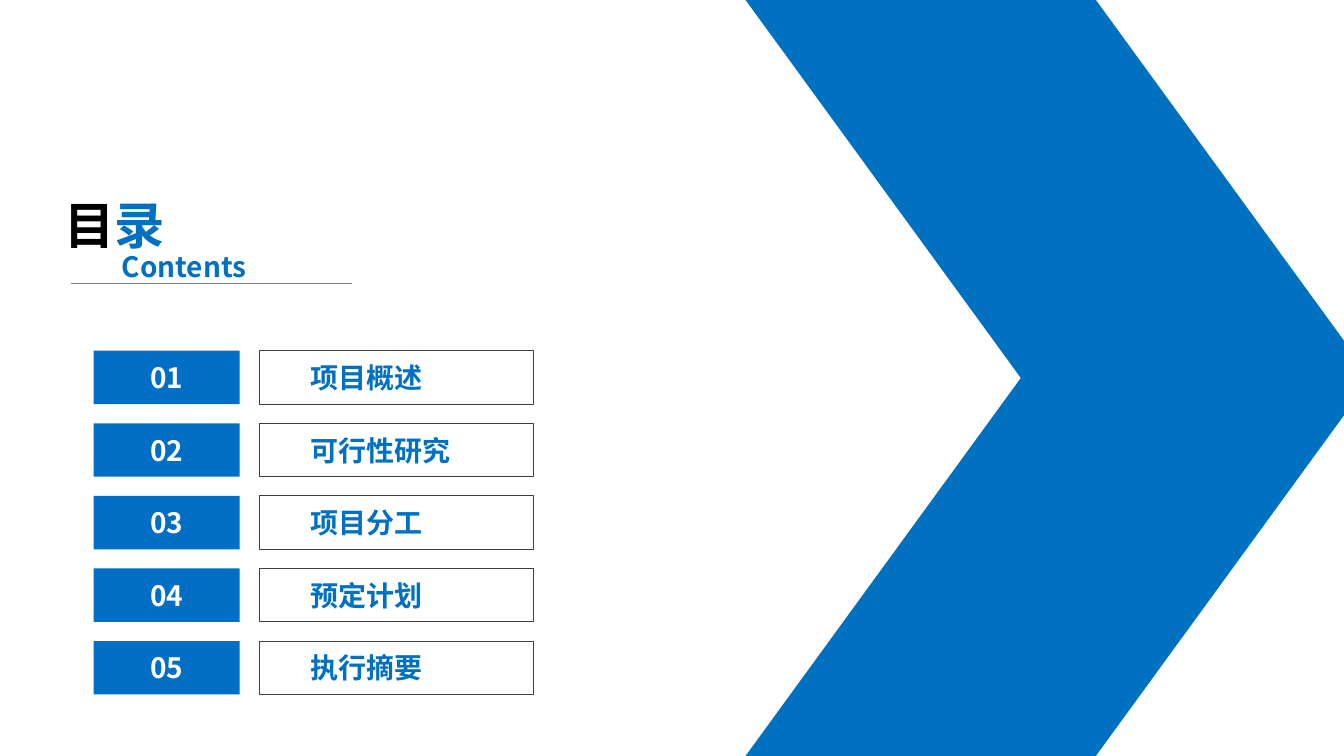
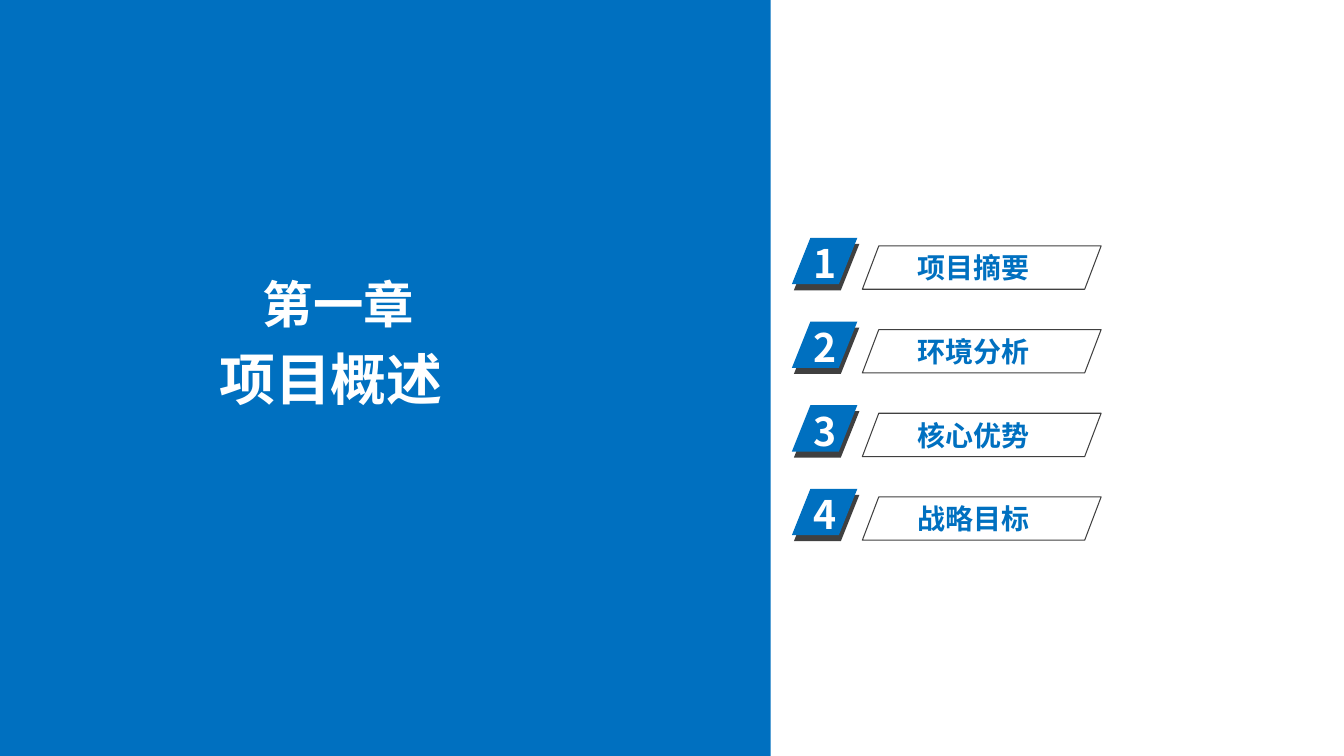
"""Build a contents slide and a chapter opener in a blue and white style."""
from dataclasses import dataclass

from lxml import etree
from pptx import Presentation
from pptx.dml.color import RGBColor
from pptx.enum.shapes import MSO_CONNECTOR, MSO_SHAPE
from pptx.enum.text import MSO_ANCHOR, PP_ALIGN
from pptx.oxml.ns import qn
from pptx.util import Inches, Pt

RECTANGLE = MSO_SHAPE.RECTANGLE
PARALLELOGRAM = MSO_SHAPE.PARALLELOGRAM
CHEVRON = MSO_SHAPE.CHEVRON
STRAIGHT = MSO_CONNECTOR.STRAIGHT
LEFT, CENTER = PP_ALIGN.LEFT, PP_ALIGN.CENTER
MIDDLE = MSO_ANCHOR.MIDDLE


@dataclass(frozen=True)
class Theme:
    font: str = "Noto Sans CJK SC"
    blue: RGBColor = RGBColor(0x00, 0x70, 0xC0)
    number_blue: RGBColor = RGBColor(0x00, 0x6E, 0xC5)
    dark: RGBColor = RGBColor(0x40, 0x40, 0x40)
    gray: RGBColor = RGBColor(0x7F, 0x7F, 0x7F)
    black: RGBColor = RGBColor(0x00, 0x00, 0x00)
    white: RGBColor = RGBColor(0xFF, 0xFF, 0xFF)
    label: int = 20
    badge: int = 28
    title: int = 36
    chapter: int = 40
    outline: float = 0.75
    rule: float = 0.5


theme = Theme()


def add_box(slide, kind, place, fill=None, adjustment=None):
    shape = slide.shapes.add_shape(kind, *map(Inches, place))
    shape.shadow.inherit = False
    if adjustment is not None:
        shape.adjustments[0] = adjustment
    if fill is None:
        shape.fill.background()
        shape.line.color.rgb = theme.dark
        shape.line.width = Pt(theme.outline)
    else:
        shape.fill.solid()
        shape.fill.fore_color.rgb = fill
        shape.line.fill.background()
    return shape


def write(shape, runs, size, alignment=LEFT, margins=(0.1, 0.05, 0.1, 0.05)):
    frame = shape.text_frame
    frame.word_wrap = True
    frame.vertical_anchor = MIDDLE
    for side, margin in zip(("left", "top", "right", "bottom"), margins):
        setattr(frame, f"margin_{side}", Inches(margin))
    paragraph = frame.paragraphs[0]
    paragraph.alignment = alignment
    for text, color in runs:
        run = paragraph.add_run()
        run.text = text
        run.font.color.rgb = color
        text_format = {"name": theme.font, "size": Pt(size), "bold": True}
        for name, value in text_format.items():
            setattr(run.font, name, value)
        properties = run.font._element
        etree.SubElement(properties, qn("a:ea")).set("typeface", theme.font)


presentation = Presentation()
presentation.slide_width = Inches(13.34)
presentation.slide_height = Inches(7.5)
blank = presentation.slide_layouts[6]

contents = presentation.slides.add_slide(blank)
add_box(contents, CHEVRON, (7.4, 0, 6.21, 7.5), theme.blue, 0.44)

topics = ["项目概述", "可行性研究", "项目分工", "预定计划", "执行摘要"]
for index, topic in enumerate(topics):
    top = 3.48 + 0.72 * index
    topic_box = add_box(contents, RECTANGLE, (2.58, top, 2.72, 0.53))
    write(topic_box, [(topic, theme.blue)], theme.label,
          margins=(0.5, 0.05, 0.1, 0.05))
    number_box = add_box(contents, RECTANGLE, (0.93, top, 1.45, 0.53),
                         theme.number_blue)
    write(number_box, [(f"{index + 1:02}", theme.white)], theme.label, CENTER)

rule = contents.shapes.add_connector(
    STRAIGHT, Inches(0.7), Inches(2.81), Inches(3.49), Inches(2.81))
rule.line.color.rgb = theme.gray
rule.line.width = Pt(theme.rule)
etree.SubElement(rule._element.spPr, qn("a:effectLst"))

chapter = presentation.slides.add_slide(blank)
add_box(chapter, RECTANGLE, (0, 0, 7.65, 7.5), theme.blue)

headings = [
    (contents, (0.54, 1.88, 1.57, 0.7),
     [("目", theme.black), ("录", theme.blue)], theme.title, LEFT),
    (contents, (1.11, 2.42, 1.57, 0.44),
     [("Contents", theme.blue)], theme.label, LEFT),
    (chapter, (2.51, 2.66, 1.81, 0.7),
     [("第一章", theme.white)], theme.title, LEFT),
    (chapter, (1.4, 3.37, 3.77, 0.77),
     [("项目概述", theme.white)], theme.chapter, CENTER),
]
for slide, place, runs, size, alignment in headings:
    heading = slide.shapes.add_textbox(*map(Inches, place))
    write(heading, runs, size, alignment)

sections = ["项目摘要", "环境分析", "核心优势", "战略目标"]
for index, section in enumerate(sections):
    offset = 0.83 * index
    add_box(chapter, PARALLELOGRAM, (7.88, 2.42 + offset, 0.65, 0.46),
            theme.dark, 0.4)
    badge = add_box(chapter, PARALLELOGRAM, (7.86, 2.36 + offset, 0.65, 0.46),
                    theme.blue, 0.4)
    write(badge, [(str(index + 1), theme.white)], theme.badge, CENTER,
          (0, 0.04, 0, 0))
    section_box = add_box(chapter, PARALLELOGRAM,
                          (8.56, 2.44 + offset, 2.37, 0.43), adjustment=0.38)
    write(section_box, [(section, theme.blue)], theme.label, CENTER,
          (0, 0, 0.16, 0))

presentation.save("out.pptx")
